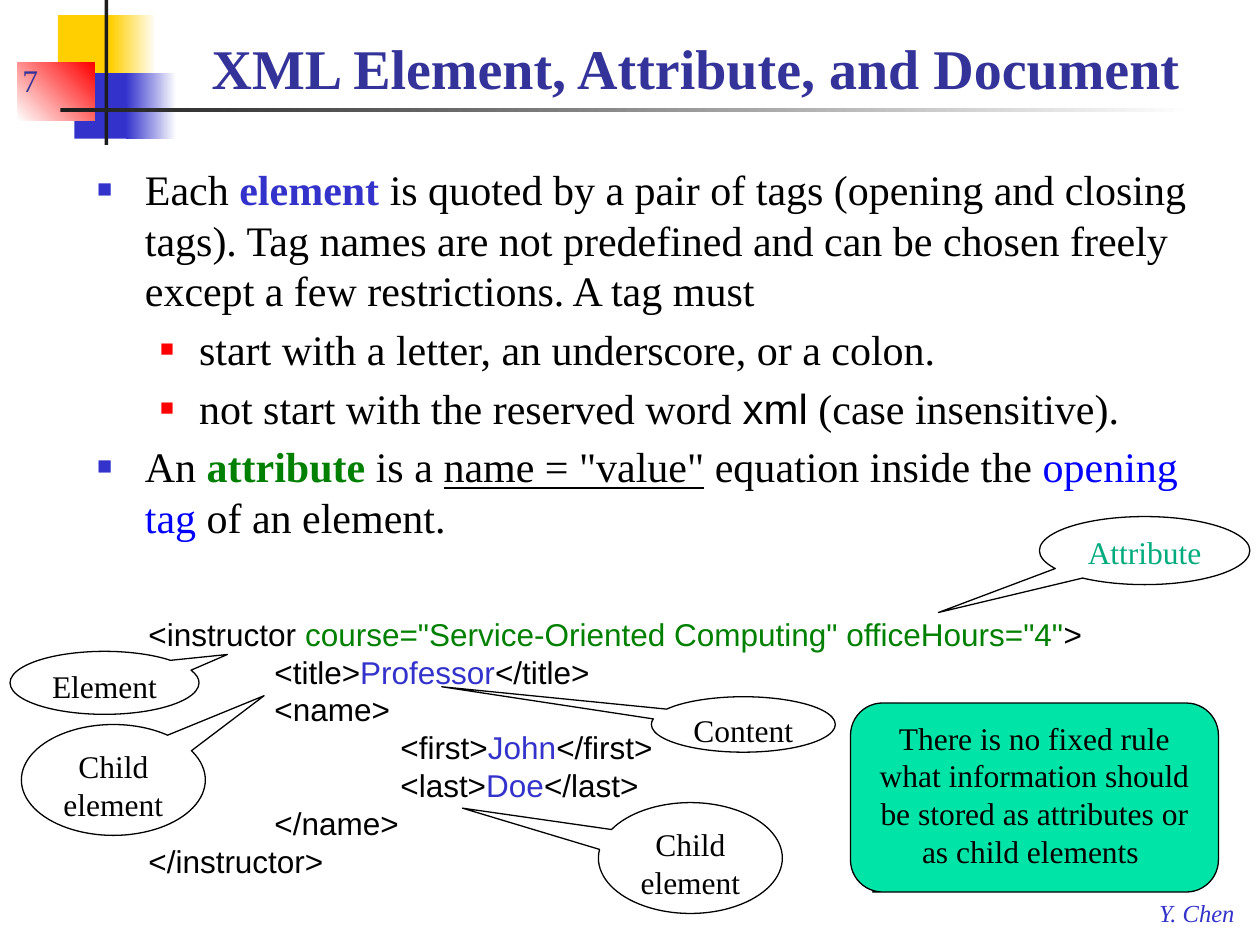
import lxml.etree
import pptx
import pptx.dml.color
import pptx.enum.shapes
import pptx.enum.text
import pptx.oxml.ns
import pptx.util

Inches = pptx.util.Inches
Shapes = pptx.enum.shapes.MSO_SHAPE
Align = pptx.enum.text.PP_ALIGN
Anchor = pptx.enum.text.MSO_ANCHOR
AutoSize = pptx.enum.text.MSO_AUTO_SIZE

SERIF = "Times New Roman"
SANS = "Arial"
BLACK = "000000"
WHITE = "FFFFFF"
BLUE = "3333CC"
NAVY = "333399"
GREEN = "008000"
RED = "FF0000"
YELLOW = "FFCF01"
CHARCOAL = "1C1C1C"


def color(value):
    return pptx.dml.color.RGBColor.from_string(value)


def add_element(parent, tag, **attributes):
    return lxml.etree.SubElement(parent, pptx.oxml.ns.qn(tag), **attributes)


def write(paragraph, text, size=18, font=SERIF, fill=BLACK, bold=False, italic=False, underline=False):
    run = paragraph.add_run()
    run.text = text
    run.font.size = pptx.util.Pt(size)
    run.font.name = font
    run.font.color.rgb = color(fill)
    run.font.bold = bold
    run.font.italic = italic
    run.font.underline = underline


class SlideBuilder:
    def __init__(self, slide):
        self.slide = slide

    def place(self, shape, box):
        shape.left, shape.top, shape.width, shape.height = map(Inches, box)
        shape.text_frame.auto_size = AutoSize.NONE
        shape.text_frame.word_wrap = True
        return shape.text_frame

    def fill_paragraph(self, frame, index, runs, **style):
        paragraph = frame.paragraphs[0] if index == 0 else frame.add_paragraph()
        for text, changes in runs:
            write(paragraph, text, **{**style, **changes})
        return paragraph

    def title(self, box, text):
        frame = self.place(self.slide.shapes.title, box)
        frame.vertical_anchor = Anchor.BOTTOM
        frame.paragraphs[0].alignment = Align.LEFT
        write(frame.paragraphs[0], text, size=32, fill=NAVY, bold=True)

    def bullet(self, paragraph, margin, indent, fill, percent):
        properties = paragraph._p.get_or_add_pPr()
        properties.set("marL", str(Inches(margin)))
        properties.set("indent", str(Inches(-indent)))
        add_element(add_element(properties, "a:buClr"), "a:srgbClr", val=fill)
        add_element(properties, "a:buSzPct", val=str(percent * 1000))
        add_element(properties, "a:buFont", typeface=SANS)
        add_element(properties, "a:buChar", char="■")

    def body(self, box, items):
        frame = self.place(self.slide.placeholders[1], box)
        levels = [(0.38, 0.38, BLUE, 60), (0.81, 0.31, RED, 55)]
        for index, (level, runs) in enumerate(items):
            paragraph = self.fill_paragraph(frame, index, runs, size=24)
            paragraph.level = level
            self.bullet(paragraph, *levels[level])

    def text(self, box, lines, anchor=Anchor.TOP, wrap=True, tabs=(), **style):
        frame = self.place(self.slide.shapes.add_textbox(*map(Inches, box)), box)
        frame.word_wrap = wrap
        frame.vertical_anchor = anchor
        for index, runs in enumerate(lines):
            paragraph = self.fill_paragraph(frame, index, runs, **style)
            if tabs:
                tab_list = add_element(paragraph._p.get_or_add_pPr(), "a:tabLst")
                for position in tabs:
                    add_element(tab_list, "a:tab", pos=str(Inches(position)), algn="l")

    def block(self, box, start, end=None, angle=0):
        shape = self.slide.shapes.add_shape(Shapes.RECTANGLE, *map(Inches, box))
        shape.shadow.inherit = False
        shape.line.fill.background()
        if end is None:
            shape.fill.solid()
            shape.fill.fore_color.rgb = color(start)
            return
        shape.fill.gradient()
        shape.fill.gradient_angle = angle
        for stop, value, position in zip(shape.fill.gradient_stops, (start, end), (0, 1)):
            stop.color.rgb = color(value)
            stop.position = position

    def callout(self, box, adjustments, text, kind=Shapes.OVAL_CALLOUT, fill=WHITE, text_fill=BLACK):
        shape = self.slide.shapes.add_shape(kind, *map(Inches, box))
        shape.shadow.inherit = False
        for index, value in enumerate(adjustments):
            shape.adjustments[index] = value
        shape.fill.solid()
        shape.fill.fore_color.rgb = color(fill)
        shape.line.color.rgb = color(BLACK)
        shape.line.width = pptx.util.Pt(0.75)
        frame = shape.text_frame
        frame.word_wrap = True
        frame.vertical_anchor = Anchor.TOP
        frame.paragraphs[0].alignment = Align.CENTER
        write(frame.paragraphs[0], text, fill=text_fill)


def main():
    presentation = pptx.Presentation()
    presentation.slide_width = Inches(10)
    presentation.slide_height = Inches(7.5)
    builder = SlideBuilder(presentation.slides.add_slide(presentation.slide_layouts[1]))

    builder.block((0.46, 0.12, 0.48, 0.52), YELLOW)
    builder.block((0.88, 0.12, 0.36, 0.52), YELLOW, WHITE)
    builder.block((0.59, 0.58, 0.46, 0.52), BLUE)
    builder.block((1, 0.58, 0.4, 0.52), BLUE, WHITE)
    builder.block((0.14, 0.5, 0.61, 0.46), WHITE, RED, angle=45)
    builder.block((0.83, 0, 0.03, 1.15), CHARCOAL)
    builder.block((0.48, 0.86, 9, 0.03), CHARCOAL, WHITE)
    builder.text((9.1, 7.08, 0.82, 0.33), [[("Y. Chen", {})]], wrap=False, size=14, fill=BLUE, italic=True)
    builder.text((0.08, 0.33, 0.83, 0.5), [[("7", {})]], anchor=Anchor.BOTTOM, fill=NAVY)

    builder.title((1.58, 0.17, 8.33, 0.68), "XML Element, Attribute, and Document")
    builder.body((0.67, 1.25, 9.25, 3.58), [
        (0, [("Each ", {}), ("element", {"fill": BLUE, "bold": True}),
             (" is quoted by a pair of tags (opening and closing tags). Tag names are not predefined "
              "and can be chosen freely except a few restrictions. A tag must", {})]),
        (1, [("start with a letter, an underscore, or a colon.", {})]),
        (1, [("not start with the reserved word ", {}), ("xml", {"font": SANS}),
             (" (case insensitive).", {})]),
        (0, [("An ", {}), ("attribute", {"fill": GREEN, "bold": True}), (" is a ", {}),
             ('name = "value"', {"underline": True}), (" equation inside the ", {}),
             ("opening tag", {"fill": "0000FF"}), (" of an element.", {})]),
    ])

    content = {"fill": BLUE}
    builder.callout((0.17, 5.75, 1.46, 0.88), (0.82, -0.76), "Child element")
    builder.text((1.08, 4.83, 8.17, 2.22), [
        [("<instructor ", {}),
         ('course="Service-Oriented Computing" officeHours="4"', {"fill": GREEN}), (">", {})],
        [("\t<title>", {}), ("Professor", content), ("</title>", {})],
        [("\t<name>", {})],
        [("\t\t<first>", {}), ("John", content), ("</first>", {})],
        [("\t\t<last>", {}), ("Doe", content), ("</last>", {})],
        [("\t</name>", {})],
        [("</instructor>", {})],
    ], tabs=(1, 2), font=SANS)

    builder.callout((4.75, 6.37, 1.46, 0.88), (-1.24, -0.45), "Child element")
    builder.callout((6.75, 5.58, 2.92, 1.5), (-0.44, 0.5, 0.17),
                    "There is no fixed rule what information should be stored as attributes or as child elements ",
                    kind=Shapes.ROUNDED_RECTANGULAR_CALLOUT, fill="00E4A8")
    builder.callout((8.25, 4.1, 1.67, 0.54), (-0.98, 0.91), "Attribute", text_fill="00AB7E")
    builder.callout((0.08, 5.17, 1.5, 0.5), (0.65, -0.45), "Element")
    builder.callout((5.17, 5.53, 1.46, 0.44), (-1.64, -0.68), "Content")

    presentation.save("out.pptx")


if __name__ == "__main__":
    main()
